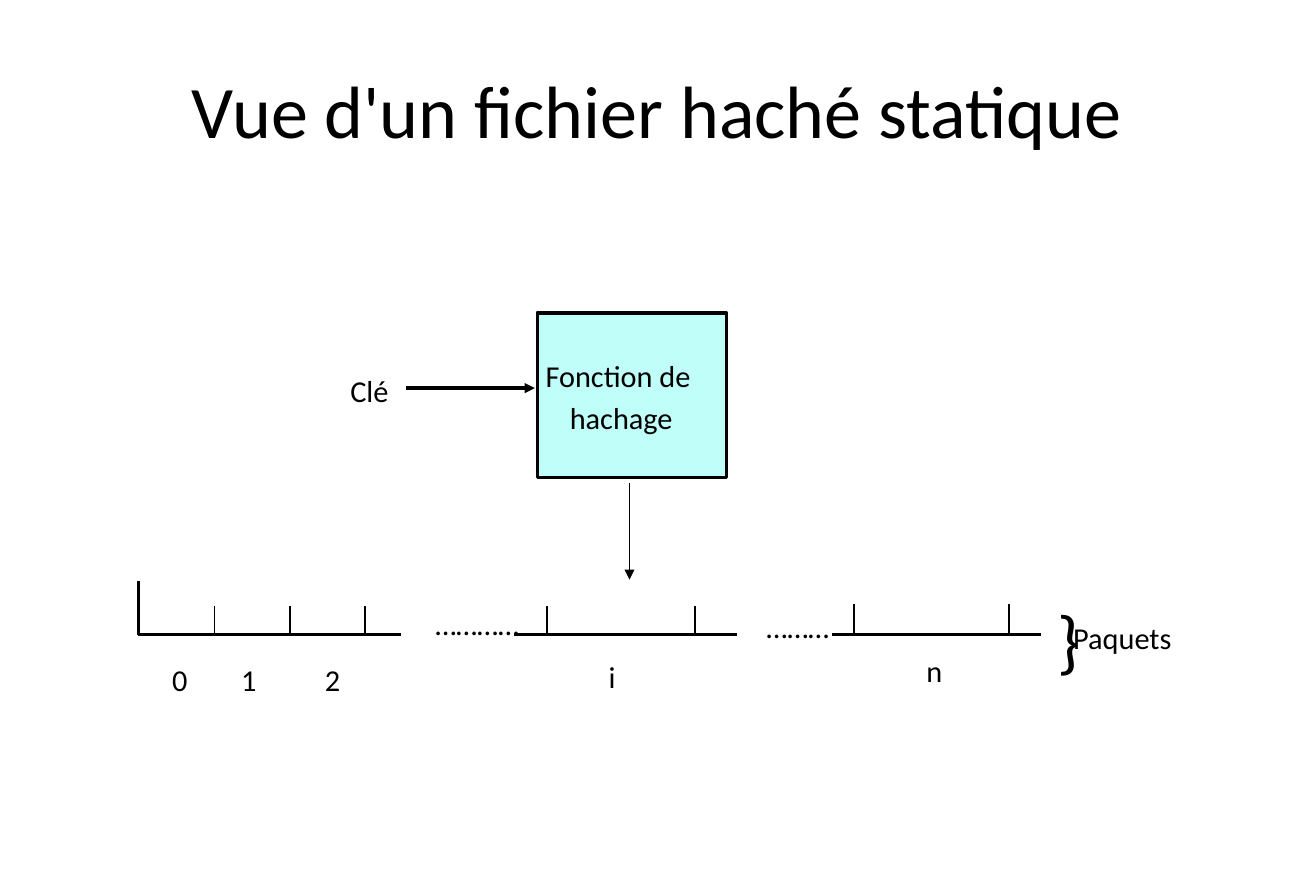
import pptx
import pptx.util
import pptx.dml.color
import pptx.enum.shapes
import pptx.enum.text
import pptx.oxml.ns
import lxml.etree

Inches = pptx.util.Inches
Pt = pptx.util.Pt
COLOURS = {"ink": "000000", "box": "C0FEF9"}


class Diagram:
    """Holds the text style and the page being drawn."""

    def __init__(self, page, font="Calibri", size=18):
        self.page = page
        self.font = font
        self.size = size

    def colour(self, name):
        return pptx.dml.color.RGBColor.from_string(COLOURS[name])

    def outline(self, line, width):
        line.color.rgb = self.colour("ink")
        line.width = Pt(width)

    def box(self, left, top, width, height):
        shape = self.page.shapes.add_shape(
            pptx.enum.shapes.MSO_SHAPE.RECTANGLE,
            Inches(left), Inches(top), Inches(width), Inches(height))
        shape.shadow.inherit = False
        shape.fill.solid()
        shape.fill.fore_color.rgb = self.colour("box")
        self.outline(shape.line, 2)

    def polyline(self, points, width):
        corners = [(Inches(x), Inches(y)) for x, y in points]
        builder = self.page.shapes.build_freeform(*corners[0], scale=1.0)
        builder.add_line_segments(corners[1:], close=False)
        shape = builder.convert_to_shape()
        shape.shadow.inherit = False
        shape.fill.background()
        self.outline(shape.line, width)

    def line(self, start, end, width, arrow=False):
        connector = self.page.shapes.add_connector(
            pptx.enum.shapes.MSO_CONNECTOR.STRAIGHT,
            *[Inches(value) for value in (*start, *end)])
        self.outline(connector.line, width)
        if arrow:
            lxml.etree.SubElement(connector.line._get_or_add_ln(),
                                  pptx.oxml.ns.qn("a:tailEnd"), type="triangle")
        lxml.etree.SubElement(connector._element.spPr,
                              pptx.oxml.ns.qn("a:effectLst"))

    def text(self, words, left, top, width, height=0.4, size=None, tabs=()):
        """Place one left-aligned line; tabs are distances from its start."""
        box = self.page.shapes.add_textbox(
            Inches(left), Inches(top), Inches(width), Inches(height))
        frame = box.text_frame
        frame.word_wrap = False
        frame.auto_size = pptx.enum.text.MSO_AUTO_SIZE.SHAPE_TO_FIT_TEXT
        para = frame.paragraphs[0]
        span = para.add_run()
        span.text = words
        span.font.name = self.font
        span.font.size = Pt(size or self.size)
        span.font.color.rgb = self.colour("ink")
        if tabs:
            stops = lxml.etree.SubElement(para._p.get_or_add_pPr(),
                                          pptx.oxml.ns.qn("a:tabLst"))
            for stop in tabs:
                lxml.etree.SubElement(stops, pptx.oxml.ns.qn("a:tab"),
                                      pos=str(Inches(stop)), algn="l")
        return frame

    def title(self, words, left, top, width, height):
        frame = self.text(words, left, top, width, height, size=44)
        frame.auto_size = pptx.enum.text.MSO_AUTO_SIZE.NONE
        frame.word_wrap = True
        frame.vertical_anchor = pptx.enum.text.MSO_ANCHOR.MIDDLE
        frame.paragraphs[0].alignment = pptx.enum.text.PP_ALIGN.CENTER


def main():
    deck = pptx.Presentation()
    deck.slide_width = Inches(10.85)
    deck.slide_height = Inches(7.24)
    diagram = Diagram(deck.slides.add_slide(deck.slide_layouts[6]))

    diagram.title("Vue d'un fichier haché statique", 0.54, 0.29, 9.76, 1.21)

    # Key and hash function
    diagram.box(4.43, 2.58, 1.56, 1.36)
    diagram.text("Fonction de", 4.4, 2.9, 1.57)
    diagram.text("hachage", 4.6, 3.24, 1.2)
    diagram.text("Clé", 2.79, 3.02, 0.56)
    diagram.line((3.35, 3.2), (4.41, 3.2), 2, arrow=True)
    diagram.line((5.19, 3.98), (5.19, 4.78), 1, arrow=True)

    # Row of buckets
    base = 5.23
    diagram.polyline([(1.14, 4.79), (1.14, base), (3.31, base)], 2)
    for start, end in ((4.24, 6.08), (6.86, 8.58)):
        diagram.line((start, base), (end, base), 2)
    for top, places in ((5, (1.77, 2.39, 3.01, 4.51, 5.73)),
                        (4.98, (7.04, 8.32))):
        for x in places:
            diagram.line((x, top), (x, base - 0.01), 1)

    # Bucket labels
    diagram.text("0\t1\t2", 1.32, 5.4, 1.8, tabs=(0.57, 1.26))
    diagram.text("i", 4.92, 5.38, 0.26)
    diagram.text("n", 7.54, 5.33, 0.35)
    diagram.text("…………", 3.49, 4.94, 0.99)
    diagram.text("………", 6.22, 4.97, 0.79)
    diagram.text("}", 8.62, 4.86, 0.42, 0.8, size=42)
    diagram.text("Paquets", 8.75, 5.06, 1.15)

    deck.save("out.pptx")


if __name__ == "__main__":
    main()
